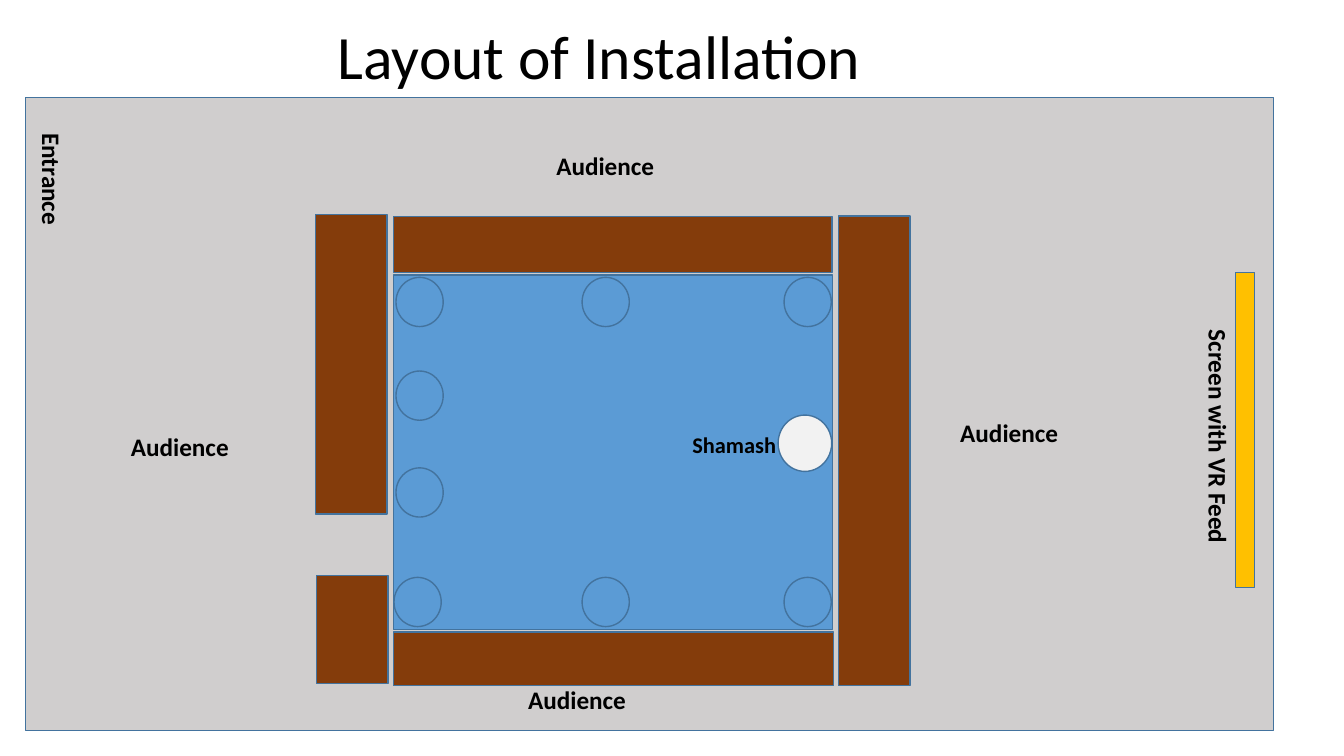
from pptx import Presentation
from pptx.dml.color import RGBColor
from pptx.enum.shapes import MSO_SHAPE
from pptx.enum.text import MSO_AUTO_SIZE
from pptx.util import Cm, Pt

RECTANGLE = MSO_SHAPE.RECTANGLE
OVAL = MSO_SHAPE.OVAL
GROW_TO_TEXT = MSO_AUTO_SIZE.SHAPE_TO_FIT_TEXT

FLOOR_GREY = RGBColor(0xD0, 0xCE, 0xCE)
STAGE_BLUE = RGBColor(0x5B, 0x9B, 0xD5)
OUTLINE_BLUE = RGBColor(0x43, 0x73, 0x9E)
LAMP_WHITE = RGBColor(0xF2, 0xF2, 0xF2)
WALL_BROWN = RGBColor(0x84, 0x3C, 0x0B)
SCREEN_GOLD = RGBColor(0xFF, 0xC0, 0x00)
BLACK = RGBColor(0x00, 0x00, 0x00)

LAMP_SIZE = (1.19, 1.24)
LAMP_LEFT, LAMP_MIDDLE, LAMP_RIGHT = 9.98, 14.67, 19.76
LAMP_TOP, LAMP_BOTTOM = 6.99, 14.55
LAMP_POSITIONS = [
    (LAMP_LEFT - 0.05, LAMP_BOTTOM),
    (LAMP_LEFT, LAMP_TOP),
    (LAMP_RIGHT, LAMP_TOP),
    (LAMP_RIGHT, LAMP_BOTTOM),
    (LAMP_LEFT, 11.79),
    (LAMP_MIDDLE, LAMP_BOTTOM),
    (LAMP_MIDDLE, LAMP_TOP),
    (LAMP_LEFT, 9.35),
]
WALLS = [
    (7.95, 5.41, 1.8, 7.54),
    (21.13, 5.44, 1.8, 11.84),
    (9.92, 5.45, 11.05, 1.42),
    (9.91, 15.93, 11.1, 1.35),
    (7.98, 14.5, 1.8, 2.72),
]
AUDIENCE_SIZE = (3.0, 1.02)
AUDIENCE_POSITIONS = [(13.77, 3.66), (3.05, 10.74), (13.06, 17.12), (23.95, 10.39)]


def add_area(shapes, kind, bounds, color):
    area = shapes.add_shape(kind, *map(Cm, bounds))
    area.shadow.inherit = False
    area.fill.solid()
    area.fill.fore_color.rgb = color
    area.line.color.rgb = OUTLINE_BLUE
    area.line.width = Pt(1)


def add_label(shapes, text, bounds, size=18, bold=True, rotation=0):
    label = shapes.add_textbox(*map(Cm, bounds))
    label.rotation = rotation
    frame = label.text_frame
    frame.word_wrap = False
    frame.auto_size = GROW_TO_TEXT
    run = frame.paragraphs[0].add_run()
    run.text = text
    run.font.name = "Calibri"
    run.font.size = Pt(size)
    run.font.bold = bold
    run.font.color.rgb = BLACK


def add_stage(shapes):
    stage = shapes.add_group_shape().shapes
    add_area(stage, RECTANGLE, (9.91, 6.93, 11.07, 8.94), STAGE_BLUE)
    for position in LAMP_POSITIONS:
        add_area(stage, OVAL, position + LAMP_SIZE, STAGE_BLUE)
    add_area(stage, OVAL, (19.61, 10.46, 1.35, 1.42), LAMP_WHITE)


def main():
    presentation = Presentation()
    presentation.slide_width = Cm(33.87)
    presentation.slide_height = Cm(19.05)
    shapes = presentation.slides.add_slide(presentation.slide_layouts[6]).shapes

    add_area(shapes, RECTANGLE, (0.64, 2.46, 31.45, 15.95), FLOOR_GREY)
    add_label(shapes, "Layout of Installation", (8.26, 0.33, 13.84, 2.13), 44, False)
    add_stage(shapes)
    for wall in WALLS:
        add_area(shapes, RECTANGLE, wall, WALL_BROWN)
    add_area(shapes, RECTANGLE, (31.14, 6.86, 0.48, 7.95), SCREEN_GOLD)

    add_label(shapes, "Screen with VR Feed", (27.74, 10.52, 5.94, 1.02), rotation=90)
    add_label(shapes, "Entrance", (-0.1, 4.01, 2.82, 1.02), rotation=90)
    for position in AUDIENCE_POSITIONS:
        add_label(shapes, "Audience", position + AUDIENCE_SIZE)
    add_label(shapes, "Shamash", (17.2, 10.74, 2.64, 0.94), 16)

    presentation.save("out.pptx")


if __name__ == "__main__":
    main()
